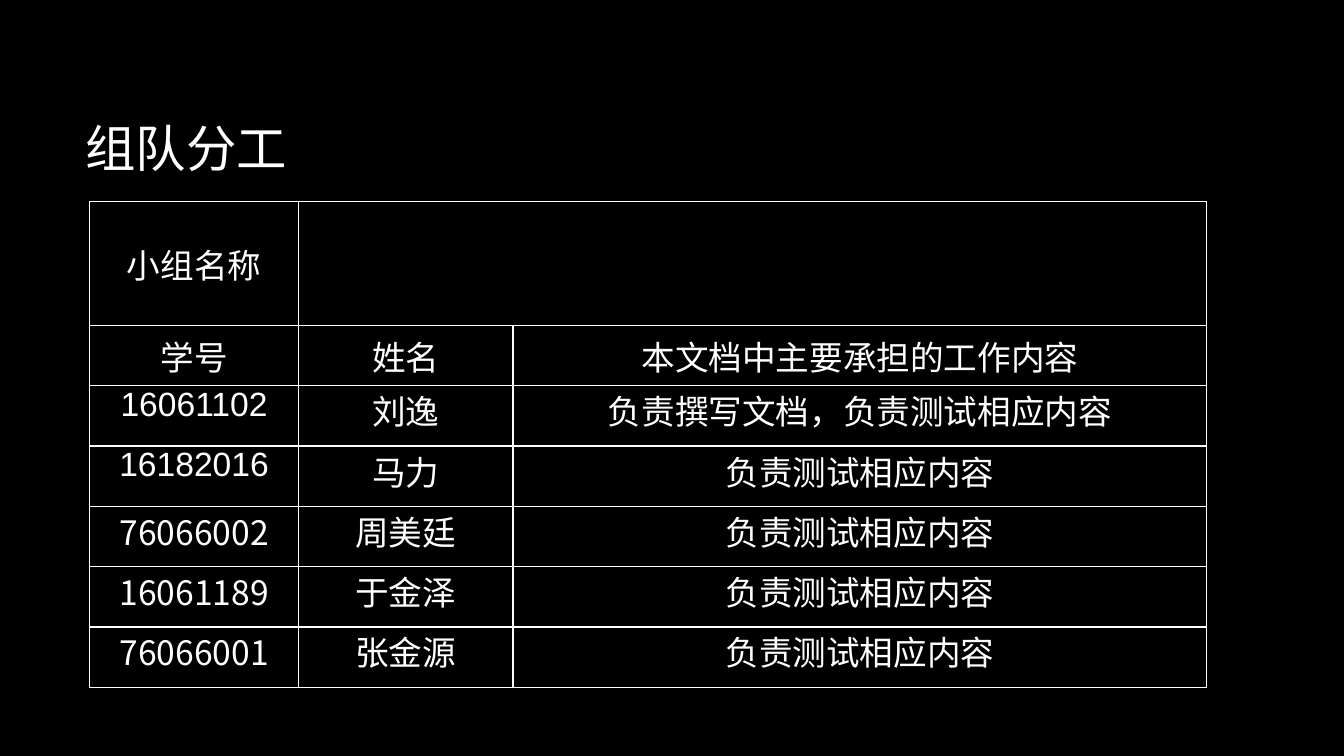
from typing import NamedTuple

from lxml import etree
from pptx import Presentation
from pptx import util as u
from pptx.dml import color
from pptx.enum import text
from pptx.oxml import ns

BLACK, WHITE = "000000", "FFFFFF"
NOTO, ARIAL = "Noto Sans CJK SC", "Arial"
TEST = "负责测试相应内容"
WIDTHS = (5.26, 5.41, 17.48)
TOP_ROW, ROW = 3.12, 1.52


class Line(NamedTuple):
    """One table row: its texts, first font and anchor."""
    words: tuple[str, ...]
    font: str = NOTO
    mid: bool = False


LINES = (
    Line(("小组名称", "", ""), mid=True),
    Line(("学号", "姓名", "本文档中主要承担的工作内容"), mid=True),
    Line(("16061102", "刘逸", "负责撰写文档，" + TEST), ARIAL),
    Line(("16182016", "马力", TEST), ARIAL),
    Line(("76066002", "周美廷", TEST)),
    Line(("16061189", "于金泽", TEST)),
    Line(("76066001", "张金源", TEST)),
)


def paint(fill, tint: str) -> None:
    """Give a fill one solid colour."""
    fill.solid()
    fill.fore_color.rgb = color.RGBColor.from_string(tint)


def write(para, words: str, size: int, font: str) -> None:
    """Add one white run to a paragraph."""
    run = para.add_run()
    run.text = words
    run.font.size = u.Pt(size)
    run.font.name = font
    run.font.bold = False
    paint(run.font.fill, WHITE)
    east = etree.SubElement(run.font._element, ns.qn("a:ea"))
    east.set("typeface", NOTO)


def frame(cell, tint: str) -> None:
    """Draw a thin line on all four sides of a cell."""
    props = cell._tc.get_or_add_tcPr()
    for spot, side in enumerate(("lnL", "lnR", "lnT", "lnB")):
        edge = etree.Element(ns.qn(f"a:{side}"), w=str(u.Pt(1)))
        solid = etree.SubElement(edge, ns.qn("a:solidFill"))
        etree.SubElement(solid, ns.qn("a:srgbClr"), val=tint)
        props.insert(spot, edge)


def style(cell, words: str, font: str, mid: bool) -> None:
    """Format a cell and put its text in."""
    cell.margin_left = cell.margin_right = 0
    cell.margin_top = cell.margin_bottom = 0
    anchor = text.MSO_ANCHOR
    cell.vertical_anchor = anchor.MIDDLE if mid else anchor.TOP
    paint(cell.fill, BLACK)
    frame(cell, WHITE)
    para = cell.text_frame.paragraphs[0]
    para.alignment = text.PP_ALIGN.CENTER
    if words:
        write(para, words, 24, font)


def head(slide) -> None:
    """Place and write the slide title."""
    title = slide.shapes.title
    title.left, title.top = u.Cm(1.9), u.Cm(1.7)
    title.width, title.height = u.Cm(28.15), u.Cm(4.04)
    title.text_frame.vertical_anchor = text.MSO_ANCHOR.MIDDLE
    para = title.text_frame.paragraphs[0]
    para.alignment = text.PP_ALIGN.LEFT
    write(para, "组队分工", 36, "Calibri")


def roster(slide) -> None:
    """Build the table of members and their tasks."""
    tall = TOP_ROW + ROW * (len(LINES) - 1)
    table = slide.shapes.add_table(
        len(LINES), len(WIDTHS), u.Cm(2.26), u.Cm(5.08),
        u.Cm(sum(WIDTHS)), u.Cm(tall)).table
    table.first_row = table.horz_banding = False
    for col, wide in zip(table.columns, WIDTHS):
        col.width = u.Cm(wide)
    for num, line in enumerate(LINES):
        table.rows[num].height = u.Cm(ROW if num else TOP_ROW)
        for col, words in enumerate(line.words):
            font = NOTO if col else line.font
            style(table.cell(num, col), words, font, line.mid)
    table.cell(0, 1).merge(table.cell(0, 2))


def main() -> None:
    """Make the deck and save it."""
    deck = Presentation()
    deck.slide_width, deck.slide_height = u.Cm(33.87), u.Cm(19.05)
    slide = deck.slides.add_slide(deck.slide_layouts[5])
    paint(slide.background.fill, BLACK)
    head(slide)
    roster(slide)
    deck.save("out.pptx")


main()
